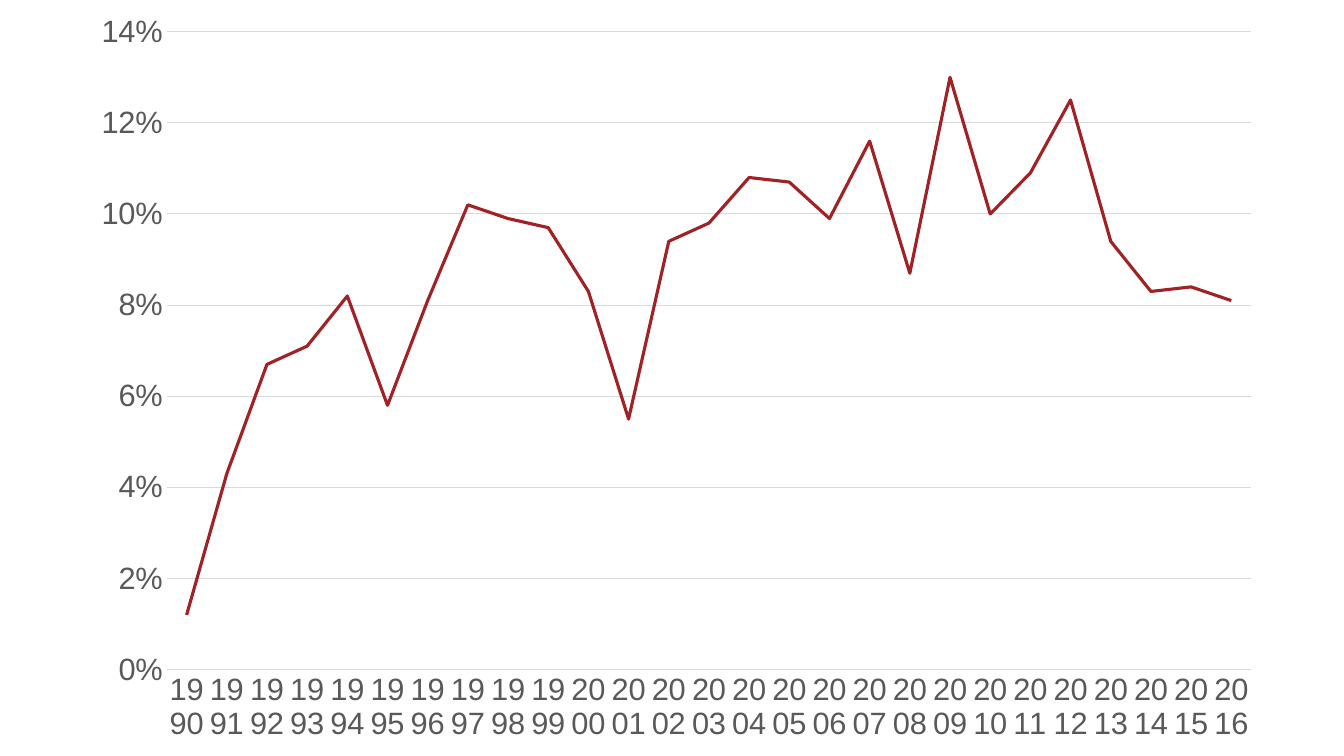
"""Build a slide with one line chart of yearly percentages, 1990 to 2016."""
from typing import NamedTuple

from lxml import etree
from pptx import Presentation
from pptx import util as u
from pptx.chart import axis as axes
from pptx.chart import chart as charts
from pptx.chart import data
from pptx.dml import color, line
from pptx.enum import chart as kinds
from pptx.oxml import ns

COLORS = {"rate": "A02226", "label": "595959", "grid": "D9D9D9", "text": "000000"}
FONT = "Arial"
FIRST_YEAR = 1990
RATES = [
    0.012, 0.043, 0.067, 0.071, 0.082, 0.058, 0.081, 0.102, 0.099,
    0.097, 0.083, 0.055, 0.094, 0.098, 0.108, 0.107, 0.099, 0.116,
    0.087, 0.13, 0.1, 0.109, 0.125, 0.094, 0.083, 0.084, 0.081,
]


class PlotArea(NamedTuple):
    """Inner plot area as fractions of the chart frame."""
    x: float
    y: float
    w: float
    h: float


def style_font(font, size: int, name: str) -> None:
    """Set the typeface, size and colour of a chart font."""
    font.name, font.size = FONT, u.Pt(size)
    font.color.rgb = color.RGBColor.from_string(COLORS[name])


def style_line(stroke: line.LineFormat, width: float, name: str) -> None:
    """Give a line its width and colour."""
    stroke.width = u.Pt(width)
    stroke.color.rgb = color.RGBColor.from_string(COLORS[name])


def style_axis(axis: axes._BaseAxis) -> None:
    """Remove tick marks and set horizontal labels."""
    axis.major_tick_mark = axis.minor_tick_mark = kinds.XL_TICK_MARK.NONE
    style_font(axis.tick_labels.font, 22, "label")
    axis._element.find(ns.qn("c:txPr")).find(ns.qn("a:bodyPr")).set("rot", "0")


def place_plot(chart: charts.Chart, area: PlotArea) -> None:
    """Fix the inner plot area inside the chart frame."""
    plot_area = chart._chartSpace.chart.plotArea
    for old in plot_area.findall(ns.qn("c:layout")):
        plot_area.remove(old)
    layout = etree.Element(ns.qn("c:layout"))
    manual = etree.SubElement(layout, ns.qn("c:manualLayout"))
    settings = {"layoutTarget": "inner", "xMode": "edge", "yMode": "edge", **area._asdict()}
    for tag, value in settings.items():
        etree.SubElement(manual, ns.qn(f"c:{tag}")).set("val", str(value))
    plot_area.insert(0, layout)


def add_rate_chart(slide) -> None:
    """Add the line chart of yearly rates."""
    chart_data = data.CategoryChartData(number_format="0%")
    chart_data.categories = [str(FIRST_YEAR + offset) for offset in range(len(RATES))]
    chart_data.add_series("Series 1", RATES)
    frame = slide.shapes.add_chart(
        kinds.XL_CHART_TYPE.LINE, u.Inches(0.76), u.Inches(0),
        u.Inches(11.89), u.Inches(7.5), chart_data)
    chart = frame.chart
    chart.has_title = chart.has_legend = False
    style_font(chart.font, 16, "text")
    chart.plots[0].vary_by_categories = False

    style_axis(chart.category_axis)
    style_line(chart.category_axis.format.line, 0.75, "grid")

    value_axis = chart.value_axis
    style_axis(value_axis)
    value_axis.minimum_scale, value_axis.maximum_scale = 0, 0.14
    value_axis.major_unit = 0.02
    value_axis.tick_labels.number_format = "0%"
    value_axis.tick_labels.number_format_is_linked = False
    value_axis.format.line.fill.background()
    style_line(value_axis.major_gridlines.format.line, 0.75, "grid")

    series = chart.plots[0].series[0]
    series.smooth = False
    series.marker.style = kinds.XL_MARKER_STYLE.NONE
    style_line(series.format.line, 2.25, "rate")
    place_plot(chart, PlotArea(0.075, 0.042, 0.905, 0.844))


def main() -> None:
    """Create and save the presentation."""
    presentation = Presentation()
    presentation.slide_width = u.Inches(13.33)
    presentation.slide_height = u.Inches(7.5)
    slide = presentation.slides.add_slide(presentation.slide_layouts.get_by_name("Blank"))
    add_rate_chart(slide)
    presentation.save("out.pptx")


main()
